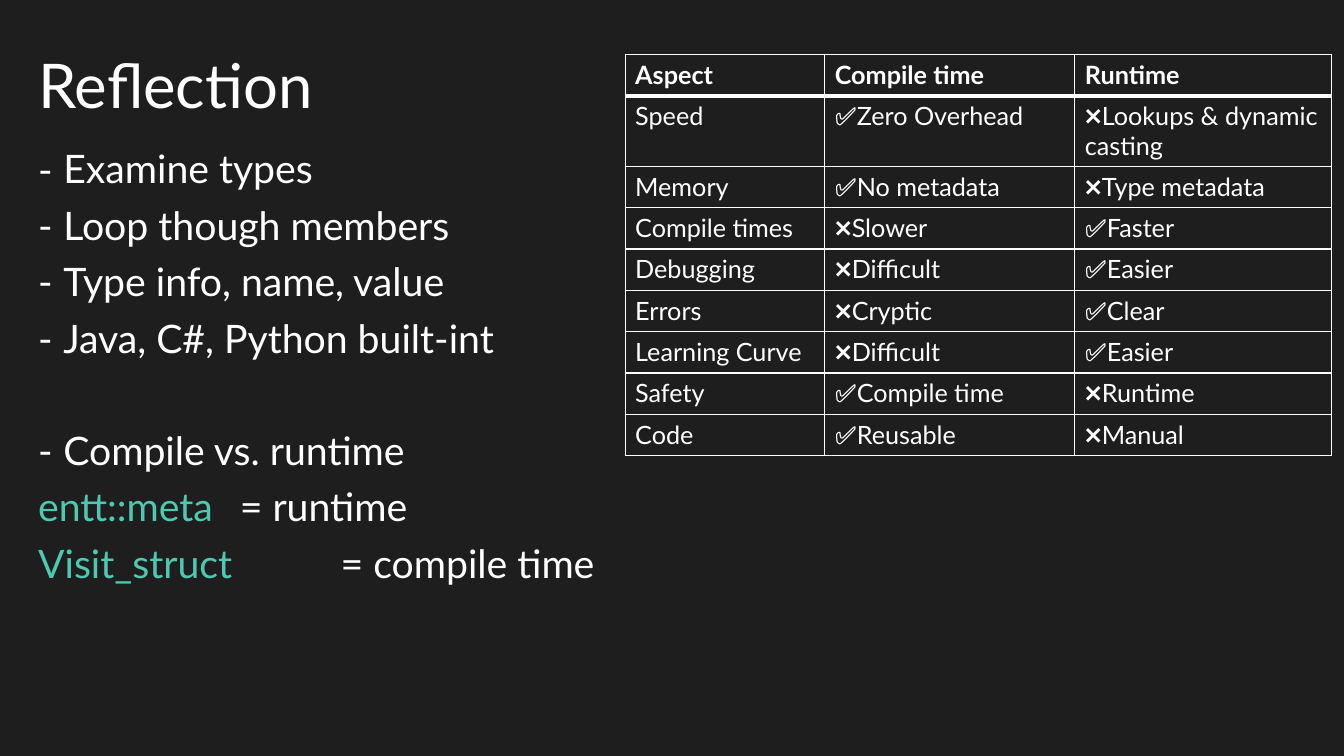
from lxml.etree import SubElement
from pptx import Presentation
from pptx.dml.color import RGBColor
from pptx.enum.text import MSO_ANCHOR, PP_ALIGN
from pptx.oxml import parse_xml
from pptx.oxml.ns import nsdecls, qn
from pptx.util import Inches, Pt

# Content
TITLE = "Reflection"
POINTS = [
    "Examine types",
    "Loop though members",
    "Type info, name, value",
    "Java, C#, Python built-int",
    "Compile vs. runtime",
]
LIBRARIES = [  # name, kind, tab position in inches
    ("entt::meta ", "\t= runtime", 2),
    ("Visit_struct ", "\t= compile time", 3),
]
COMPARISON = [
    ("Aspect", "Compile time", "Runtime"),
    ("Speed", "✅Zero Overhead", "❌Lookups & dynamic casting"),
    ("Memory", "✅No metadata", "❌Type metadata"),
    ("Compile times", "❌Slower", "✅Faster"),
    ("Debugging", "❌Difficult", "✅Easier"),
    ("Errors", "❌Cryptic", "✅Clear"),
    ("Learning Curve", "❌Difficult", "✅Easier"),
    ("Safety", "✅Compile time", "❌Runtime"),
    ("Code", "✅Reusable", "❌Manual"),
]
COLUMN_WIDTHS = [1.98, 2.48, 2.55]
ROW_HEIGHT = 0.41
BACKGROUND, WHITE, TEAL = "1E1E1E", "FFFFFF", "4EC9B0"


def color(value):
    return RGBColor.from_string(value)


def add_text(paragraph, text, size=28, fill=WHITE, bold=False):
    run = paragraph.add_run()
    run.text = text
    run.font.name = "Lato"
    run.font.size = Pt(size)
    run.font.bold = bold
    run.font.color.rgb = color(fill)


def add_line(frame, before=10, dash=False, tab=None):
    """Return the next paragraph of the frame, with its spacing, dash and tab."""
    first = not frame.paragraphs[0].runs
    paragraph = frame.paragraphs[0] if first else frame.add_paragraph()
    paragraph.alignment = PP_ALIGN.LEFT
    paragraph.line_spacing = 0.9
    paragraph.space_before = Pt(0 if first else before)
    properties = paragraph._p.get_or_add_pPr()
    if dash:
        properties.set("marL", str(Inches(0.25)))
        properties.set("indent", str(Inches(-0.25)))
        SubElement(properties, qn("a:buFont"), typeface="Lato")
        SubElement(properties, qn("a:buChar"), char="-")
    if tab:
        stops = SubElement(properties, qn("a:tabLst"))
        SubElement(stops, qn("a:tab"), pos=str(Inches(tab)), algn="l")
    return paragraph


def set_borders(cell, top, bottom):
    properties = cell._tc.get_or_add_tcPr()
    for place, (side, width) in enumerate([("L", 1), ("R", 1), ("T", top), ("B", bottom)]):
        properties.insert(place, parse_xml(
            f'<a:ln{side} {nsdecls("a")} w="{Pt(width)}"><a:solidFill>'
            f'<a:srgbClr val="{WHITE}"/></a:solidFill></a:ln{side}>'))


presentation = Presentation()
presentation.slide_width = Inches(13.33)
presentation.slide_height = Inches(7.5)
slide = presentation.slides.add_slide(presentation.slide_layouts[5])
slide.background.fill.solid()
slide.background.fill.fore_color.rgb = color(BACKGROUND)

# Title
title = slide.shapes.title
title.left, title.top = Inches(0.28), Inches(0.15)
title.width, title.height = Inches(11.5), Inches(1.45)
title.text_frame.vertical_anchor = MSO_ANCHOR.MIDDLE
add_text(add_line(title.text_frame), TITLE, size=44)

# Points, with a wider gap before the last one, then the libraries
points = slide.shapes.add_textbox(Inches(0.28), Inches(1.44), Inches(6.51), Inches(4.63)).text_frame
points.word_wrap = True
for point in POINTS:
    add_text(add_line(points, before=50 if point == POINTS[-1] else 10, dash=True), point)
for library, kind, tab in LIBRARIES:
    line = add_line(points, tab=tab)
    add_text(line, library, fill=TEAL)
    add_text(line, kind)

# Comparison table
comparison = slide.shapes.add_table(
    len(COMPARISON), len(COLUMN_WIDTHS), Inches(6.2), Inches(0.54),
    Inches(sum(COLUMN_WIDTHS)), Inches(ROW_HEIGHT * len(COMPARISON))).table
comparison.first_row = comparison.horz_banding = False
for column, width in zip(comparison.columns, COLUMN_WIDTHS):
    column.width = Inches(width)
for r, aspect in enumerate(COMPARISON):
    comparison.rows[r].height = Inches(ROW_HEIGHT)
    for c, text in enumerate(aspect):
        cell = comparison.cell(r, c)
        cell.fill.background()
        set_borders(cell, top=3 if r == 1 else 1, bottom=3 if r == 0 else 1)
        add_text(cell.text_frame.paragraphs[0], text, size=18, bold=r == 0)

presentation.save("out.pptx")
